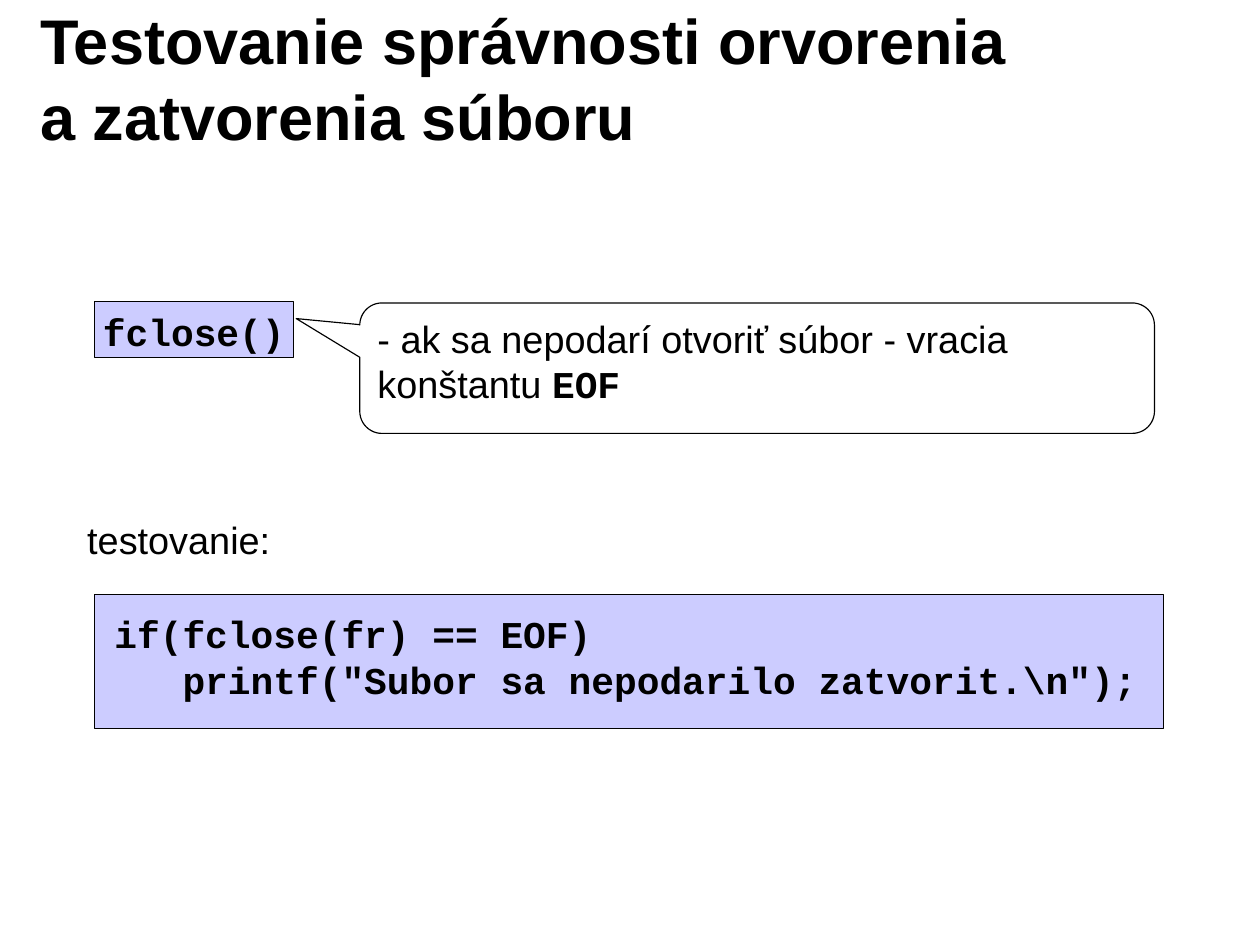
import dataclasses
import pptx
import pptx.dml.color
import pptx.enum.shapes
import pptx.enum.text
import pptx.util

Cm = pptx.util.Cm
Shape = pptx.enum.shapes.MSO_SHAPE
Align = pptx.enum.text.PP_ALIGN
Anchor = pptx.enum.text.MSO_ANCHOR
AutoSize = pptx.enum.text.MSO_AUTO_SIZE


@dataclasses.dataclass(frozen=True)
class Theme:
    """Colours, fonts and sizes of the slide."""
    ink: str = "000000"
    panel: str = "CCCCFF"
    prose: str = "Arial"
    code: str = "Courier New"
    title_size: int = 40
    body_size: int = 24
    line_width: float = 0.75


THEME = Theme()


def colour(value):
    """Return the colour of a hex value."""
    return pptx.dml.color.RGBColor.from_string(value)


def style_span(span, font, size, bold):
    """Format one run."""
    span.font.name = font
    span.font.size = pptx.util.Pt(size)
    span.font.bold = bold
    span.font.color.rgb = colour(THEME.ink)


def write_text(shape, text, font, size=THEME.body_size, bold=False,
               align=Align.LEFT, anchor=Anchor.TOP, wrap=True):
    """Fill a shape with evenly formatted text."""
    frame = shape.text_frame
    frame.text = text
    frame.word_wrap = wrap
    frame.auto_size = AutoSize.NONE if wrap else AutoSize.SHAPE_TO_FIT_TEXT
    frame.vertical_anchor = anchor
    frame.margin_left = frame.margin_right = Cm(0.25)
    frame.margin_top = frame.margin_bottom = Cm(0.13)
    for para in frame.paragraphs:
        para.alignment = align
        for span in para.runs:
            style_span(span, font, size, bold)
    return frame


def add_outlined(page, kind, box, fill=None):
    """Add a preset shape with a thin outline."""
    shape = page.shapes.add_shape(kind, *map(Cm, box))
    shape.shadow.inherit = False
    if fill:
        shape.fill.solid()
        shape.fill.fore_color.rgb = colour(fill)
    else:
        shape.fill.background()
    shape.line.color.rgb = colour(THEME.ink)
    shape.line.width = pptx.util.Pt(THEME.line_width)
    return shape


def add_title(page, box, text):
    """Add the slide title."""
    title = page.shapes.add_textbox(*map(Cm, box))
    frame = write_text(title, text, THEME.prose, THEME.title_size, True,
                       anchor=Anchor.MIDDLE)
    frame.margin_left = frame.margin_right = Cm(0.28)


def add_code(page, box, text, inset, align=Align.LEFT):
    """Add a tinted panel with code set at an inset from its corner."""
    left, top, width, height = box
    across, down = inset
    add_outlined(page, Shape.RECTANGLE, box, THEME.panel)
    code = page.shapes.add_textbox(Cm(left + across), Cm(top + down),
                                   Cm(width - 2 * across), Cm(height - 2 * down))
    write_text(code, text, THEME.code, bold=True, align=align, wrap=False)


def add_callout(page, box, text, constant):
    """Add a speech balloon ending in a code constant."""
    balloon = add_outlined(page, Shape.ROUNDED_RECTANGULAR_CALLOUT, box)
    for index, value in enumerate((-0.583, -0.378, 0.167)):
        balloon.adjustments[index] = round(value, 2)
    frame = write_text(balloon, text, THEME.prose)
    span = frame.paragraphs[0].add_run()
    span.text = constant
    style_span(span, THEME.code, THEME.body_size, True)


def add_label(page, box, text):
    """Add a plain caption."""
    label = page.shapes.add_textbox(*map(Cm, box))
    write_text(label, text, THEME.prose, align=Align.CENTER, wrap=False)


def main():
    """Build and save the slide."""
    deck = pptx.Presentation()
    deck.slide_width, deck.slide_height = Cm(28.19), Cm(21.08)
    page = deck.slides.add_slide(deck.slide_layouts[6])
    add_title(page, (0.62, 0.43, 22.65, 2.6),
              "Testovanie správnosti orvorenia a zatvorenia súboru")
    add_code(page, (2.11, 6.74, 4.45, 1.27), "fclose()", (-0.15, 0.04),
             Align.CENTER)
    add_callout(page, (8.05, 6.78, 17.78, 2.92),
                "- ak sa nepodarí otvoriť súbor - vracia konštantu ", "EOF")
    add_label(page, (1.7, 11.43, 4.6, 1.27), "testovanie:")
    add_code(page, (2.11, 13.31, 23.93, 3),
             'if(fclose(fr) == EOF)\n   printf("Subor sa nepodarilo zatvorit.\\n");',
             (0.2, 0.23))
    deck.save("out.pptx")


if __name__ == "__main__":
    main()
